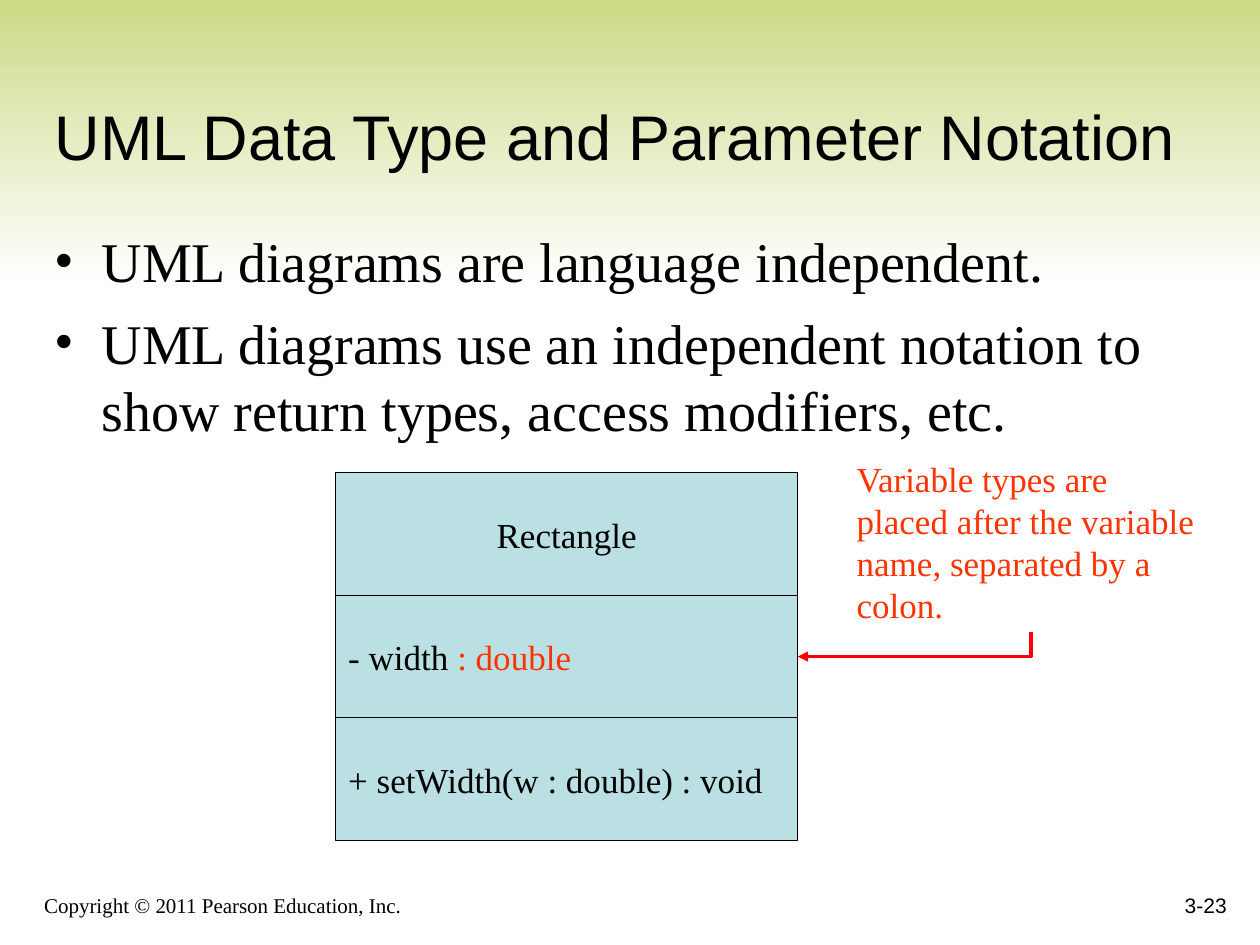
from lxml import etree
from pptx import Presentation
from pptx.dml.color import RGBColor
from pptx.enum.shapes import MSO_CONNECTOR, MSO_SHAPE
from pptx.enum.text import MSO_ANCHOR as ANCHOR, PP_ALIGN as ALIGN
from pptx.oxml.ns import qn
from pptx.util import Cm, Pt

SERIF, SANS = "Times New Roman", "Arial"
BLACK, ACCENT, ARROW = "000000", "FF3300", "FF0000"
BOX_LEFT, BOX_TOP, BOX_WIDTH, BOX_HEIGHT = 6.77, 9.53, 9.31, 2.47


def rgb(value):
    return RGBColor.from_string(value)


def add_bullet(p, indent):
    pPr = p._p.get_or_add_pPr()
    pPr.set("marL", str(Cm(indent)))
    pPr.set("indent", str(-Cm(indent)))
    color = etree.SubElement(pPr, qn("a:buClr"))
    etree.SubElement(color, qn("a:srgbClr"), val=BLACK)
    etree.SubElement(pPr, qn("a:buFont"), typeface=SERIF)
    etree.SubElement(pPr, qn("a:buChar"), char="•")


def write(sp, paragraphs, size=20, font=SERIF, color=BLACK, align=ALIGN.LEFT,
          anchor=ANCHOR.TOP, wrap=True, bullet=None, space=0):
    tf = sp.text_frame
    tf.word_wrap = wrap
    tf.vertical_anchor = anchor
    for i, runs in enumerate(paragraphs):
        p = tf.add_paragraph() if i else tf.paragraphs[0]
        p.alignment = align
        if i and space:
            p.space_before = Pt(space)
        if bullet:
            add_bullet(p, bullet)
        for text, run_color in runs:
            r = p.add_run()
            r.text = text
            r.font.size = Pt(size)
            r.font.name = font
            r.font.color.rgb = rgb(run_color or color)


def add_text(s, box, *lines, **fmt):
    sp = s.shapes.add_textbox(*map(Cm, box))
    write(sp, [[(line, None)] for line in lines], **fmt)
    return sp


def add_band(s):
    sp = s.shapes.add_shape(MSO_SHAPE.RECTANGLE, 0, Cm(-0.2), Cm(25.4), Cm(5.92))
    sp.shadow.inherit = False
    sp.line.fill.background()
    sp.fill.gradient()
    sp.fill.gradient_angle = 270
    for stop, color in zip(sp.fill.gradient_stops, ("CAD881", "FFFFFF")):
        stop.color.rgb = rgb(color)


def add_class_diagram(s, compartments):
    group = s.shapes.add_group_shape()
    for i, (runs, align) in enumerate(compartments):
        sp = group.shapes.add_shape(
            MSO_SHAPE.RECTANGLE, Cm(BOX_LEFT), Cm(BOX_TOP + i * BOX_HEIGHT),
            Cm(BOX_WIDTH), Cm(BOX_HEIGHT))
        sp.shadow.inherit = False
        sp.fill.solid()
        sp.fill.fore_color.rgb = rgb("BBE0E3")
        sp.line.color.rgb = rgb(BLACK)
        sp.line.width = Pt(0.75)
        write(sp, [runs], align=align, anchor=ANCHOR.MIDDLE, wrap=False)


def add_corner_arrow(s, x1, y1, x2, y2):
    drop, run = y2 - y1, x1 - x2
    left, top = (x1 + x2 - drop) / 2, (y1 + y2 - run) / 2
    c = s.shapes.add_connector(MSO_CONNECTOR.ELBOW, Cm(left), Cm(top),
                               Cm(left + drop), Cm(top + run))
    spPr = c._element.spPr
    spPr.find(qn("a:xfrm")).set("rot", str(90 * 60000))
    spPr.find(qn("a:prstGeom")).set("prst", "bentConnector2")
    c.line.color.rgb = rgb(ARROW)
    c.line.width = Pt(2)
    etree.SubElement(spPr.find(qn("a:ln")), qn("a:tailEnd"), type="triangle")
    etree.SubElement(spPr, qn("a:effectLst"))


def main():
    prs = Presentation()
    prs.slide_width, prs.slide_height = Cm(25.4), Cm(19.05)
    s = prs.slides.add_slide(prs.slide_layouts[6])

    add_band(s)
    add_text(s, (0.64, 17.57, 15.45, 1.06), "Copyright © 2011 Pearson Education, Inc.",
             size=12, anchor=ANCHOR.BOTTOM)
    add_text(s, (19.69, 17.36, 5.29, 1.27), "3-23", size=12, font=SANS,
             align=ALIGN.RIGHT, anchor=ANCHOR.BOTTOM)
    add_text(s, (0.85, 0.85, 23.92, 2.76), "UML Data Type and Parameter Notation",
             size=36, font=SANS, anchor=ANCHOR.BOTTOM)
    body = add_text(s, (0.85, 4.45, 23.03, 4.92),
                    "UML diagrams are language independent.",
                    "UML diagrams use an independent notation to show return types, "
                    "access modifiers, etc.",
                    size=32, bullet=0.95, space=8)
    body.text_frame.margin_right = 0

    add_class_diagram(s, [
        ([("Rectangle", None)], ALIGN.CENTER),
        ([("- width ", None), (": double", ACCENT)], ALIGN.LEFT),
        ([("+ setWidth(w : double) : void", None)], ALIGN.LEFT),
    ])
    add_text(s, (17.02, 9.1, 7.54, 3.66),
             "Variable types are placed after the variable name, separated by a colon.",
             color=ACCENT)
    add_corner_arrow(s, 20.78, 12.75, BOX_LEFT + BOX_WIDTH, BOX_TOP + 1.5 * BOX_HEIGHT)

    prs.save("out.pptx")


if __name__ == "__main__":
    main()
